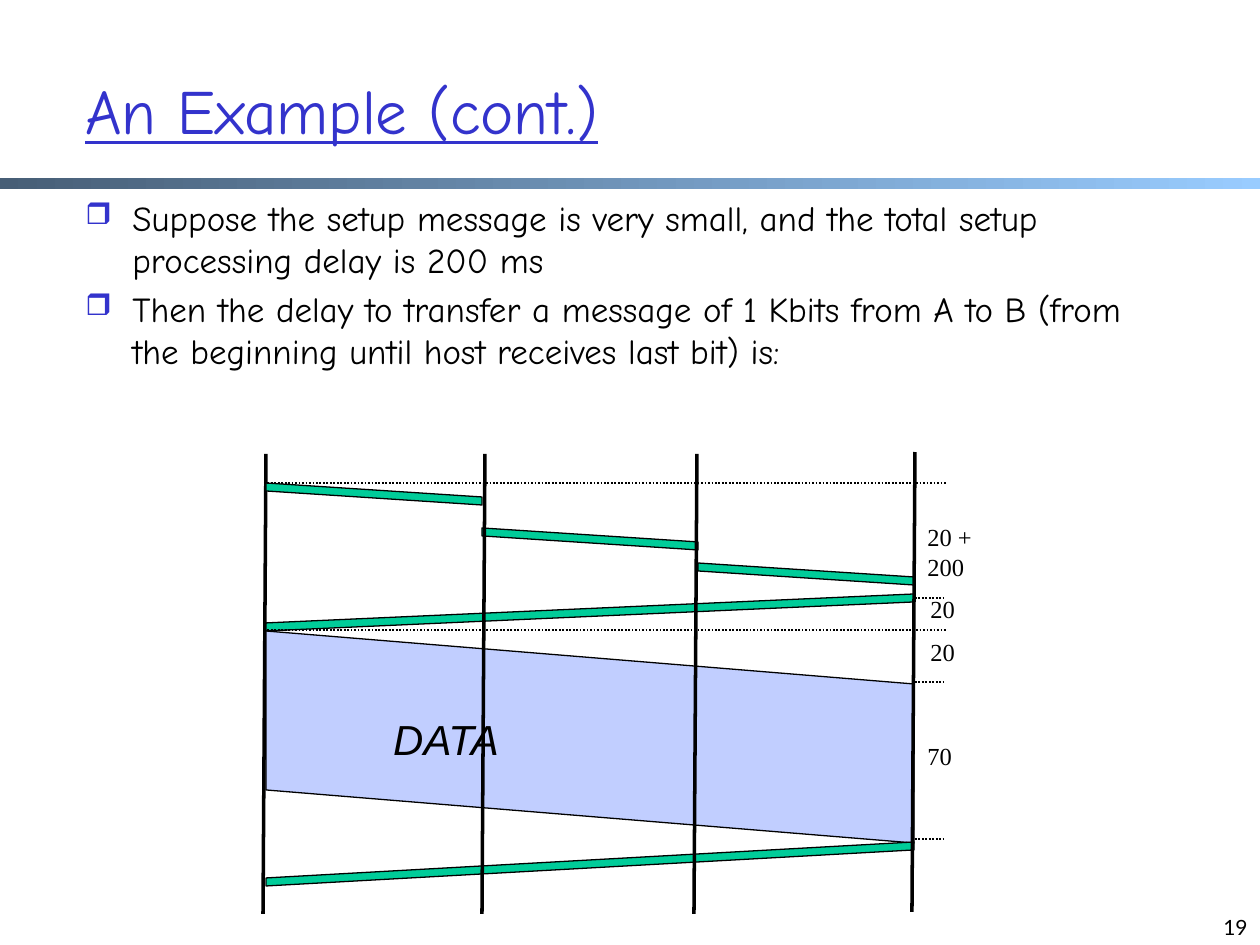
from lxml.etree import SubElement
from pptx import Presentation
from pptx.dml.color import RGBColor
from pptx.enum.dml import MSO_LINE
from pptx.enum.shapes import MSO_CONNECTOR, MSO_SHAPE
from pptx.enum.text import MSO_ANCHOR, PP_ALIGN
from pptx.oxml.ns import qn
from pptx.util import Pt

PX = 7263  # EMU per px
WIDTH, HEIGHT = 1260, 945
BLACK, BLUE, GREEN, LILAC = "000000", "3333CC", "00CC99", "C1CEFF"


def px(*lengths):
    return [length * PX for length in lengths]


def rgb(value):
    return RGBColor.from_string(value)


def apply(target, values):
    for name, value in values.items():
        setattr(target, name, value)


class TimingSlide:
    FONTS = {
        "title": {"name": "Comic Neue", "size": Pt(36), "underline": True},
        "body": {"name": "Comic Neue", "size": Pt(20)},
        "data": {"name": "Arial", "size": Pt(24), "italic": True},
        "delay": {"name": "Times New Roman", "size": Pt(14)},
        "number": {"name": "Lato", "size": Pt(12)},
    }

    def __init__(self, slide):
        self.shapes = slide.shapes

    def text(self, box, lines, style, color=BLACK, anchor=MSO_ANCHOR.TOP,
             align=PP_ALIGN.LEFT, wrap=True, bullet=None):
        frame = self.shapes.add_textbox(*px(*box)).text_frame
        apply(frame, {"word_wrap": wrap, "vertical_anchor": anchor})
        for index, line in enumerate(lines):
            paragraph = frame.add_paragraph() if index else frame.paragraphs[0]
            paragraph.alignment = align
            if index:
                paragraph.space_before = Pt(4)
            if bullet:
                self.bullet(paragraph, bullet)
            run = paragraph.add_run()
            run.text = line
            apply(run.font, self.FONTS[style])
            run.font.color.rgb = rgb(color)

    def bullet(self, paragraph, char, indent=47):
        props = paragraph._p.get_or_add_pPr()
        props.set("marL", str(indent * PX))
        props.set("indent", str(-indent * PX))
        color = SubElement(props, qn("a:buClr"))
        SubElement(color, qn("a:srgbClr"), val=BLUE)
        SubElement(props, qn("a:buSzPct"), val="85000")
        SubElement(props, qn("a:buChar"), char=char)

    def rule(self, box, start, end):
        bar = self.shapes.add_shape(MSO_SHAPE.RECTANGLE, *px(*box))
        bar.shadow.inherit = False
        bar.line.fill.background()
        bar.fill.gradient()
        bar.fill.gradient_angle = 0
        for stop, color in zip(bar.fill.gradient_stops, (start, end)):
            stop.color.rgb = rgb(color)

    def band(self, left, top, width, height, thickness, fill=GREEN, rising=False):
        """Slanted band given by its visible box; the preset lies on its side."""
        shift = (width - height) / 2
        box = [round(n) for n in px(left + shift, top - shift, height, width)]
        band = self.shapes.add_shape(MSO_SHAPE.PARALLELOGRAM, *box)
        band.adjustments[0] = 1 - thickness / height
        band.rotation = 270 if rising else 90
        if rising:
            band._element.spPr.xfrm.set("flipH", "1")
        band.shadow.inherit = False
        band.fill.solid()
        band.fill.fore_color.rgb = rgb(fill)
        band.line.color.rgb = rgb(BLACK)
        band.line.width = Pt(0.75)

    def line(self, x1, y1, x2, y2, width, dash=None):
        line = self.shapes.add_connector(MSO_CONNECTOR.STRAIGHT, *px(x1, y1, x2, y2))
        line.line.color.rgb = rgb(BLACK)
        apply(line.line, {"width": Pt(width), "dash_style": dash})
        SubElement(line._element.spPr, qn("a:effectLst"))

    def host(self, x, top):
        self.line(x, top, x - 3, top + 460, 2)


def main():
    deck = Presentation()
    deck.slide_width, deck.slide_height = px(WIDTH, HEIGHT)
    page = TimingSlide(deck.slides.add_slide(deck.slide_layouts[6]))

    # Heading, bullets and page number
    page.rule((0, 178, WIDTH, 11), "475E76", "99CCFF")
    page.text((967, 883, 293, 63), ["19"], "number",
              anchor=MSO_ANCHOR.BOTTOM, align=PP_ALIGN.RIGHT)
    page.text((73, 31, 1071, 157), ["An Example (cont.)"], "title", BLUE,
              anchor=MSO_ANCHOR.MIDDLE)
    page.text((73, 190, 1113, 672), [
        "Suppose the setup message is very small, and the total setup "
        "processing delay is 200 ms",
        "Then the delay to transfer a message of 1 Kbits from A to B "
        "(from the beginning until host receives last bit) is:",
    ], "body", bullet="❒")

    # Messages between the hosts
    page.host(266, 454)
    page.band(266, 594, 648, 37, 8, rising=True)
    page.band(266, 631, 648, 212, 159, LILAC)
    page.band(266, 842, 648, 44, 8, rising=True)
    for left, top in ((266, 483), (482, 528), (698, 563)):
        page.band(left, top, 216, 22, 8)
    page.text((376, 708, 140, 62), ["DATA"], "data", anchor=MSO_ANCHOR.MIDDLE,
              align=PP_ALIGN.CENTER, wrap=False)
    for x, top in ((485, 454), (697, 454), (915, 452)):
        page.host(x, top)

    # Time marks and delays
    for start, y in ((264, 483), (915, 598), (264, 630), (915, 682), (915, 839)):
        page.line(start, y, 946, y, 1, MSO_LINE.ROUND_DOT)
    for left, top, width, delay in ((915, 516, 112, "20 + 200"), (918, 588, 50, "20"),
                                    (918, 631, 50, "20"), (915, 735, 50, "70")):
        page.text((left, top, width, 42), [delay], "delay", wrap=False)

    deck.save("out.pptx")


if __name__ == "__main__":
    main()
